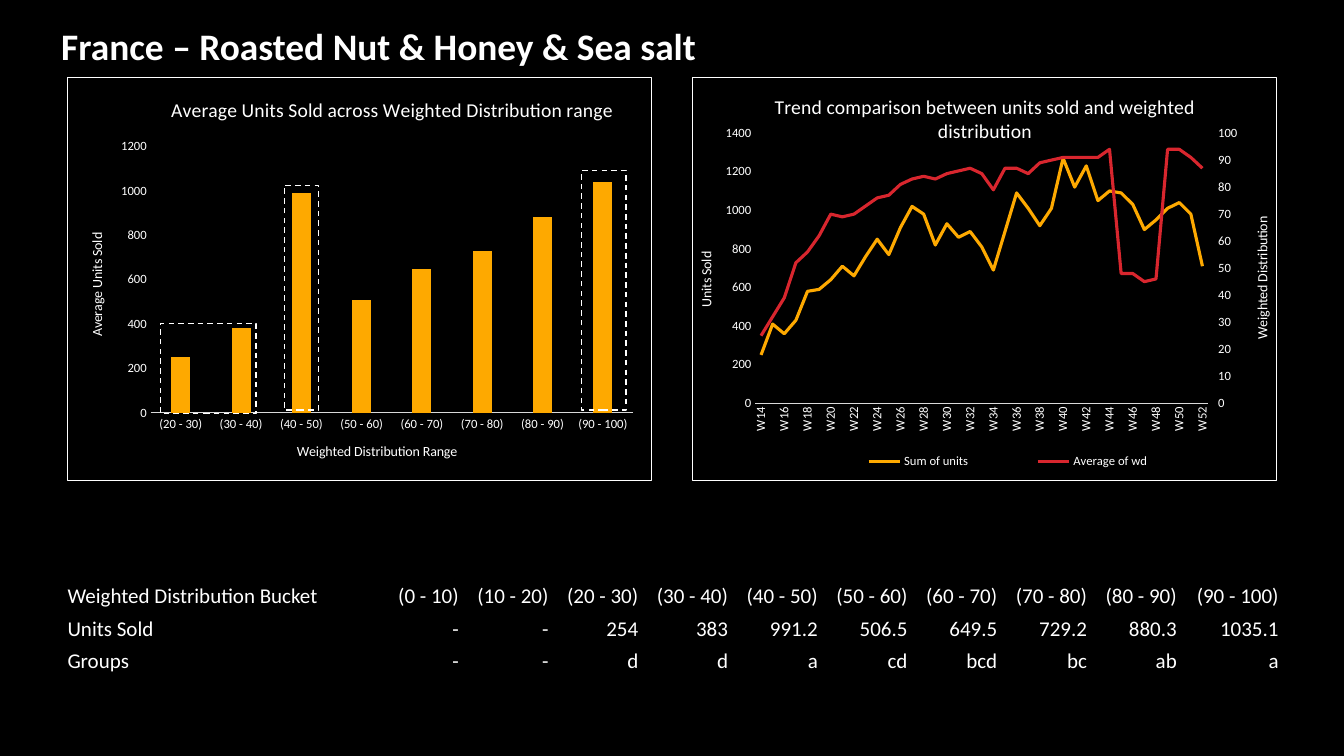
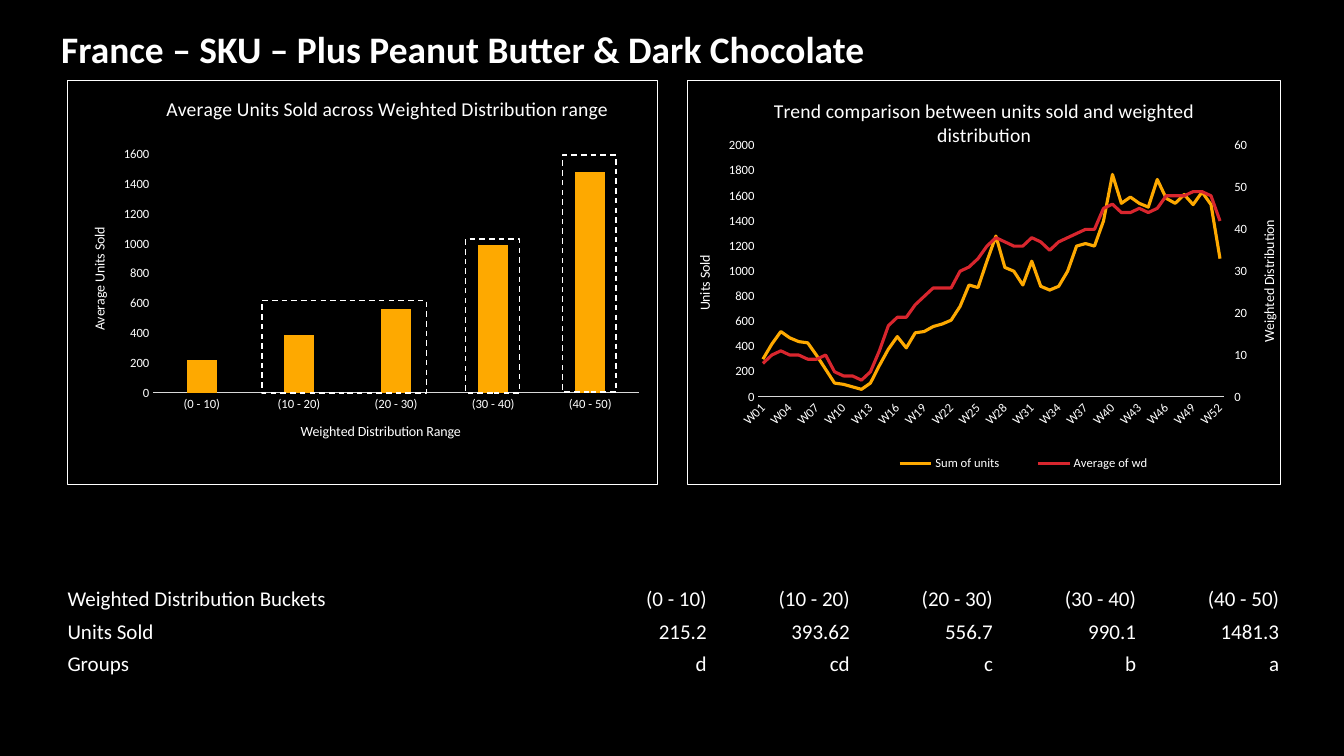
from copy import deepcopy

from lxml import etree
from pptx import Presentation
from pptx import util as u
from pptx.chart.axis import ValueAxis
from pptx.chart.data import CategoryChartData
from pptx.dml.color import RGBColor
from pptx.enum import chart as ch, dml, shapes, text
from pptx.oxml import parse_xml
from pptx.oxml.ns import nsdecls, qn

BLACK = RGBColor(0x00, 0x00, 0x00)
WHITE = RGBColor(0xFF, 0xFF, 0xFF)
GREY = RGBColor(0xD9, 0xD9, 0xD9)
AMBER = RGBColor(0xFE, 0xA9, 0x00)
RED = RGBColor(0xD8, 0x26, 0x2E)
FONT = "Calibri"
NO_TABLE_STYLE = "{2D5ABB26-0587-4C30-8999-92F81FD0307C}"
UPRIGHT = -5400000  # a quarter turn in 1/60000 degree
DIAGONAL = -2700000


def style(font, size, bold=False):
    font.name, font.size, font.bold = FONT, u.Pt(size), bold
    font.color.rgb = WHITE


def place(part, x, y, w=None, h=None, inner=False):
    """Give a chart part a manual layout, in shares of the chart."""
    layout = part.find(qn("c:layout"))
    if layout is None:
        layout = etree.Element(qn("c:layout"))
        part.insert(1 if part.tag == qn("c:legend") else 0, layout)
    for child in list(layout):
        layout.remove(child)
    manual = etree.SubElement(layout, qn("c:manualLayout"))
    settings = [("layoutTarget", "inner")] if inner else []
    settings += [("xMode", "edge"), ("yMode", "edge"), ("x", x), ("y", y)]
    if w is not None:
        settings += [("w", w), ("h", h)]
    for name, value in settings:
        etree.SubElement(manual, qn(f"c:{name}")).set("val", str(value))


def set_title(owner, words, spot, size=10, turn=0):
    owner.has_title = True
    title = owner.chart_title if hasattr(owner, "chart_title") else owner.axis_title
    tf = title.text_frame
    r = tf.paragraphs[0].add_run()
    r.text = words
    style(r.font, size)
    tf._txBody.bodyPr.set("rot", str(turn))
    place(title._element, *spot)


def set_value_axis(axis, words, spot, top, step, tick=ch.XL_TICK_MARK.NONE):
    axis.has_major_gridlines = False
    axis.minimum_scale, axis.maximum_scale, axis.major_unit = 0, top, step
    axis.major_tick_mark = tick
    axis.format.line.fill.background()
    style(axis.tick_labels.font, 9)
    set_title(axis, words, spot, turn=UPRIGHT)


def set_category_axis(axis):
    axis.has_major_gridlines = False
    axis.major_tick_mark = ch.XL_TICK_MARK.NONE
    axis.format.line.color.rgb = GREY
    axis.format.line.width = u.Pt(0.75)
    style(axis.tick_labels.font, 9)


def split_to_second_axis(chart):
    """Move the second series to its own axes and return the left and right ones."""
    area = chart._chartSpace.find(".//" + qn("c:plotArea"))
    lines = area.find(qn("c:lineChart"))
    cat, val = area.find(qn("c:catAx")), area.find(qn("c:valAx"))
    lines2, cat2, val2 = (deepcopy(e) for e in (lines, cat, val))
    lines.remove(lines.findall(qn("c:ser"))[1])
    lines2.remove(lines2.findall(qn("c:ser"))[0])
    lines.addnext(lines2)
    val.addnext(val2)
    val2.addnext(cat2)
    ids = {cat.find(qn("c:axId")).get("val"): "5001",
           val.find(qn("c:axId")).get("val"): "5002"}
    for part in (lines2, cat2, val2):
        for ref in part.findall(qn("c:axId")) + part.findall(qn("c:crossAx")):
            ref.set("val", ids[ref.get("val")])
    cat2.find(qn("c:delete")).set("val", "1")
    val2.find(qn("c:axPos")).set("val", "r")
    val2.find(qn("c:crosses")).set("val", "max")
    return ValueAxis(val), ValueAxis(val2)


class Deck:
    """Places elements on a grid of 100 columns and 100 rows."""

    def __init__(self):
        self.prs = Presentation()
        self.prs.slide_width, self.prs.slide_height = u.Inches(13.33), u.Inches(7.5)
        fill = self.prs.slide_master.background.fill
        fill.solid()
        fill.fore_color.rgb = BLACK

    def cols(self, n):
        return round(self.prs.slide_width * n / 100)

    def rows(self, n):
        return round(self.prs.slide_height * n / 100)

    def box(self, x, y, w, h):
        return self.cols(x), self.rows(y), self.cols(w), self.rows(h)

    def slide(self, title, y):
        self.s = self.prs.slides.add_slide(self.prs.slide_layouts[5])
        sp = self.s.shapes.title
        sp.left, sp.top, sp.width, sp.height = self.box(3.8, y, 81.3, 6.3)
        tf = sp.text_frame
        tf.word_wrap = True
        tf.auto_size = text.MSO_AUTO_SIZE.NONE
        tf.vertical_anchor = text.MSO_ANCHOR.TOP
        p = tf.paragraphs[0]
        p.alignment, p.line_spacing = text.PP_ALIGN.LEFT, 0.8
        r = p.add_run()
        r.text = title
        style(r.font, 26.7, bold=True)

    def table(self, y, widths, records):
        tbl = self.s.shapes.add_table(
            len(records), len(widths),
            *self.box(4.95, y, sum(widths), 4.25 * len(records))).table
        tbl._tbl.tblPr.find(qn("a:tableStyleId")).text = NO_TABLE_STYLE
        tbl.first_row = tbl.horz_banding = False
        for col, width in zip(tbl.columns, widths):
            col.width = self.cols(width)
        for i, record in enumerate(records):
            tbl.rows[i].height = self.rows(4.25)
            for j, words in enumerate(record):
                self.cell(tbl.cell(i, j), words, text.PP_ALIGN.RIGHT if j else text.PP_ALIGN.LEFT)

    def cell(self, cell, words, align):
        cell.margin_left = cell.margin_right = cell.margin_top = u.Inches(0.01)
        cell.margin_bottom = 0
        cell.vertical_anchor = text.MSO_ANCHOR.BOTTOM
        for side in "LRTB":
            cell._tc.get_or_add_tcPr().append(parse_xml(
                f'<a:ln{side} {nsdecls("a")} w="6350"><a:solidFill>'
                f'<a:srgbClr val="{BLACK}"/></a:solidFill></a:ln{side}>'))
        cell.fill.background()
        p = cell.text_frame.paragraphs[0]
        p.alignment = align
        r = p.add_run()
        r.text = words
        style(r.font, 15)

    def chart(self, kind, at, cats, series, plot, title, spot):
        data = CategoryChartData()
        data.categories = cats
        for name, values in series:
            data.add_series(name, values)
        chart = self.s.shapes.add_chart(kind, *self.box(*at), data).chart
        style(chart.font, 10)
        space = chart._chartSpace
        space.find(qn("c:txPr")).addprevious(parse_xml(
            f'<c:spPr {nsdecls("c", "a")}><a:noFill/><a:ln w="9525"><a:solidFill>'
            f'<a:srgbClr val="{WHITE}"/></a:solidFill></a:ln></c:spPr>'))
        if space.find(qn("c:roundedCorners")) is None:
            space.find(qn("c:date1904")).addnext(
                parse_xml(f'<c:roundedCorners {nsdecls("c")} val="0"/>'))
        chart.has_legend = False
        set_title(chart, title, spot, size=14)
        place(space.find(".//" + qn("c:plotArea")), *plot, inner=True)
        return chart

    def bar_chart(self, at, cats, values, top, plot, title_spot, cat_spot, val_spot):
        chart = self.chart(ch.XL_CHART_TYPE.COLUMN_CLUSTERED, at, cats,
                           [("Series 1", values)], plot,
                           "Average Units Sold across Weighted Distribution range", title_spot)
        bars = chart.plots[0]
        bars.gap_width, bars.overlap, bars.vary_by_categories = 219, -27, False
        fill = bars.series[0].format.fill
        fill.solid()
        fill.fore_color.rgb = AMBER
        set_category_axis(chart.category_axis)
        set_title(chart.category_axis, "Weighted Distribution Range", cat_spot)
        set_value_axis(chart.value_axis, "Average Units Sold", val_spot, top, 200)

    def trend_chart(self, at, first_week, units, wd, tops, plot, title_spot,
                    units_spot, wd_spot, legend, turn, skip):
        weeks = [f"W{week:02}" for week in range(first_week, 53)]
        chart = self.chart(ch.XL_CHART_TYPE.LINE, at, weeks,
                           [("Sum of units", units), ("Average of wd", wd)], plot,
                           "Trend comparison between units sold and weighted distribution",
                           title_spot)
        for ser, colour in zip(chart.plots[0].series, (AMBER, RED)):
            ser.smooth = False
            ser.format.line.color.rgb = colour
            ser.format.line.width = u.Pt(2.25)
        left_axis, right_axis = split_to_second_axis(chart)
        axis = chart.category_axis
        set_category_axis(axis)
        axis._element.find(qn("c:txPr")).find(qn("a:bodyPr")).set("rot", str(turn))
        axis._element.find(qn("c:lblOffset")).addnext(
            parse_xml(f'<c:tickLblSkip {nsdecls("c")} val="{skip}"/>'))
        set_value_axis(left_axis, "Units Sold", units_spot, tops[0], 200)
        set_value_axis(right_axis, "Weighted Distribution", wd_spot, tops[1], 10,
                       ch.XL_TICK_MARK.OUTSIDE)
        chart.has_legend = True
        chart.legend.position = ch.XL_LEGEND_POSITION.RIGHT
        chart.legend.include_in_layout = False
        style(chart.legend.font, 9)
        place(chart.legend._element, *legend)

    def dashed_frame(self, *at):
        sp = self.s.shapes.add_shape(shapes.MSO_SHAPE.RECTANGLE, *self.box(*at))
        sp.shadow.inherit = False
        sp.fill.background()
        sp.line.color.rgb = WHITE
        sp.line.width = u.Pt(1)
        sp.line.dash_style = dml.MSO_LINE.DASH


def buckets(first, last):
    return [f"({low} - {low + 10})" for low in range(first, last, 10)]


def nut_and_honey(deck):
    deck.slide("France – Roasted Nut & Honey & Sea salt", 3.5)
    deck.table(76.4, [23.33, 5.93] + [6.68] * 8 + [7.58], [
        ["Weighted Distribution Bucket"] + buckets(0, 100),
        ["Units Sold", "-", "-", "254", "383", "991.2", "506.5", "649.5", "729.2",
         "880.3", "1035.1"],
        ["Groups", "-", "-", "d", "d", "a", "cd", "bcd", "bc", "ab", "a"]])
    deck.bar_chart((4.95, 10.13, 43.58, 53.47), buckets(20, 100),
                   [250, 380, 990, 510, 650, 730, 880, 1040], 1200,
                   plot=(0.143, 0.172, 0.825, 0.661), title_spot=(0.172, 0.038),
                   cat_spot=(0.389, 0.899), val_spot=(0.031, 0.38))
    units = [250, 410, 360, 430, 580, 590, 640, 710, 660, 760, 850, 770, 910, 1020, 980,
             820, 930, 860, 890, 810, 690, 890, 1090, 1010, 920, 1010, 1270, 1120, 1230,
             1050, 1100, 1090, 1030, 900, 950, 1010, 1040, 980, 710]
    wd = [25, 32, 39, 52, 56, 62, 70, 69, 70, 73, 76, 77, 81, 83, 84, 83, 85, 86, 87, 85,
          79, 87, 87, 85, 89, 90, 91, 91, 91, 91, 94, 48, 48, 45, 46, 94, 94, 91, 87]
    deck.trend_chart((51.46, 10.13, 43.58, 53.47), 14, units, wd, (1400, 100),
                     plot=(0.108, 0.139, 0.775, 0.67), title_spot=(0.135, 0.032),
                     units_spot=(0.004, 0.427), wd_spot=(0.955, 0.34),
                     legend=(0.19, 0.914, 0.7, 0.08), turn=UPRIGHT, skip=2)
    deck.dashed_frame(11.93, 42.8, 7.13, 11.87)
    deck.dashed_frame(21.15, 24.53, 2.55, 29.73)
    deck.dashed_frame(43.28, 22.53, 3.3, 31.73)


def peanut_and_chocolate(deck):
    deck.slide("France – SKU – Plus Peanut Butter & Dark Chocolate", 4)
    deck.table(76.8, [38.33, 9.38] + [10.65] * 4, [
        ["Weighted Distribution Buckets"] + buckets(0, 50),
        ["Units Sold", "215.2", "393.62", "556.7", "990.1", "1481.3"],
        ["Groups", "d", "cd", "c", "b", "a"]])
    deck.bar_chart((4.95, 10.53, 44.03, 53.6), buckets(0, 50),
                   [220, 390, 560, 990, 1480], 1600,
                   plot=(0.146, 0.184, 0.822, 0.59), title_spot=(0.162, 0.028),
                   cat_spot=(0.391, 0.841), val_spot=(0.035, 0.357))
    units = [300, 420, 520, 470, 440, 430, 330, 220, 110, 100, 80, 60, 110, 250, 380, 480,
             390, 510, 520, 560, 580, 610, 720, 890, 870, 1080, 1280, 1030, 1000, 890,
             1080, 880, 850, 880, 1000, 1200, 1220, 1200, 1400, 1770, 1540, 1590, 1540,
             1510, 1730, 1580, 1540, 1610, 1530, 1630, 1530, 1100]
    wd = [8, 10, 11, 10, 10, 9, 9, 10, 6, 5, 5, 4, 6, 11, 17, 19, 19, 22, 24, 26, 26, 26,
          30, 31, 33, 36, 38, 37, 36, 36, 38, 37, 35, 37, 38, 39, 40, 40, 45, 46, 44, 44,
          45, 44, 45, 48, 48, 48, 49, 49, 48, 42]
    deck.trend_chart((51.09, 10.53, 44.26, 53.6), 1, units, wd, (2000, 60),
                     plot=(0.12, 0.162, 0.785, 0.622), title_spot=(0.14, 0.033),
                     units_spot=(0.01, 0.427), wd_spot=(0.96, 0.34),
                     legend=(0.3, 0.909, 0.533, 0.08), turn=DIAGONAL, skip=3)
    deck.dashed_frame(19.5, 39.73, 12.23, 12.27)
    deck.dashed_frame(34.66, 31.6, 3.98, 20.4)
    deck.dashed_frame(41.86, 20.53, 3.98, 31.33)


def main():
    deck = Deck()
    nut_and_honey(deck)
    peanut_and_chocolate(deck)
    deck.prs.save("out.pptx")


if __name__ == "__main__":
    main()
